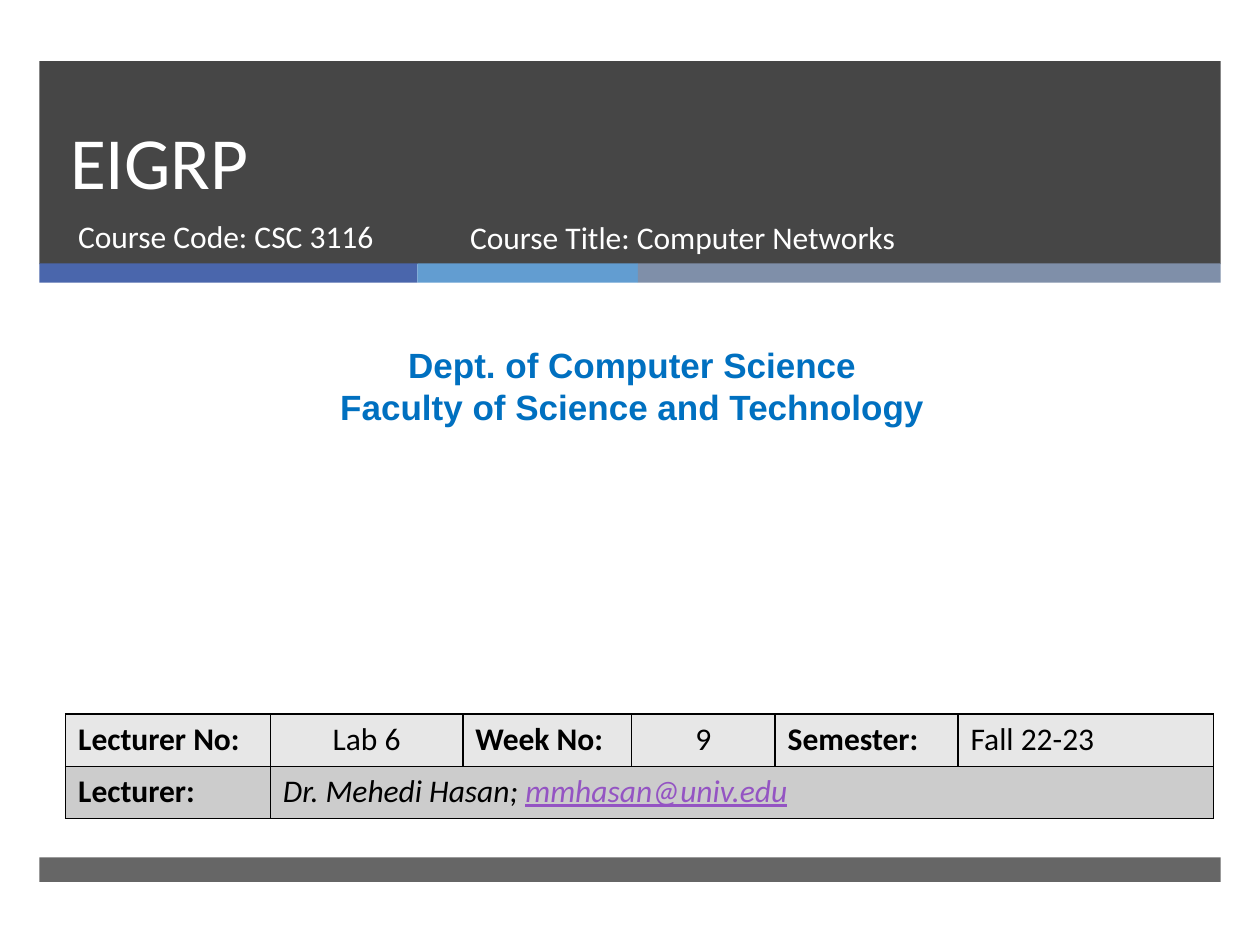
from lxml.etree import SubElement
from pptx import Presentation
from pptx.dml.color import RGBColor
from pptx.enum.shapes import MSO_SHAPE
from pptx.enum.text import MSO_ANCHOR, PP_ALIGN
from pptx.oxml.ns import qn
from pptx.util import Pt

COLORS = {
    "dark": "262626", "blue": "4A66AC", "sky": "629DD1", "slate": "7F8FA9",
    "white": "FFFFFF", "black": "000000", "department": "0070C0",
    "link": "9454C3", "light_row": "E7E7E7", "dark_row": "CCCCCC",
}
BAND_LEFT, BAND_WIDTH = 22.5, 675


def color(name):
    return RGBColor.from_string(COLORS[name])


def add_bar(slide, left, top, width, height, fill, opacity=None):
    bar = slide.shapes.add_shape(MSO_SHAPE.RECTANGLE, Pt(left), Pt(top), Pt(width), Pt(height))
    bar.shadow.inherit = False
    bar.line.fill.background()
    bar.fill.solid()
    bar.fill.fore_color.rgb = color(fill)
    if opacity:
        fill_color = bar._element.spPr.find(qn("a:solidFill"))[0]
        SubElement(fill_color, qn("a:alpha"), val=str(opacity * 1000))


def add_run(paragraph, text, font_color, **formats):
    run = paragraph.add_run()
    run.text = text
    run.font.color.rgb = color(font_color)
    for name, value in {"name": "Calibri", "size": Pt(18), **formats}.items():
        setattr(run.font, name, value)


def add_text(slide, left, top, width, height, lines, font_color,
             anchor=MSO_ANCHOR.TOP, align=PP_ALIGN.LEFT, spacing=None, **formats):
    box = slide.shapes.add_textbox(Pt(left), Pt(top), Pt(width), Pt(height))
    frame = box.text_frame
    frame.word_wrap = True
    frame.vertical_anchor = anchor
    for index, line in enumerate(lines):
        paragraph = frame.add_paragraph() if index else frame.paragraphs[0]
        paragraph.alignment = align
        paragraph.line_spacing = spacing
        add_run(paragraph, line, font_color, **formats)


def add_header(slide, left, top, width, height):
    """Dark title band with a three-coloured strip below it."""
    add_bar(slide, left, top, width, height, "dark", opacity=85)
    strip_left = left
    for strip_width, fill in ((216, "blue"), (126, "sky"), (width - 342, "slate")):
        add_bar(slide, strip_left, top + height - 0.5, strip_width, 11, fill)
        strip_left += strip_width
    add_text(slide, left + 10.5, top, 615, 85.5, ["EIGRP"], "white",
             anchor=MSO_ANCHOR.BOTTOM, spacing=Pt(46), size=Pt(42))
    add_text(slide, left + 15, top + 85.5, 220, 38, ["Course Code: CSC 3116"], "white")
    add_text(slide, left + 239, top + 86, 328, 38, ["Course Title: Computer Networks"], "white")


def style_cell(cell, fill):
    cell.fill.solid()
    cell.fill.fore_color.rgb = color(fill)
    properties = cell._tc.get_or_add_tcPr()
    for position, side in enumerate(("lnL", "lnR", "lnT", "lnB")):
        border = properties.makeelement(qn(f"a:{side}"), {"w": str(Pt(1))})
        solid = SubElement(border, qn("a:solidFill"))
        SubElement(solid, qn("a:srgbClr"), val=COLORS["black"])
        properties.insert(position, border)


def add_lecture_table(slide, left, top):
    widths = [117, 110, 96.5, 82, 104.5, 146]
    row_height = 29.9
    table = slide.shapes.add_table(2, len(widths), Pt(left), Pt(top),
                                   Pt(sum(widths)), Pt(2 * row_height)).table
    for column, width in zip(table.columns, widths):
        column.width = Pt(width)
    for row, fill in zip(table.rows, ("light_row", "dark_row")):
        row.height = Pt(row_height)
        for cell in row.cells:
            style_cell(cell, fill)

    entries = ["Lecturer No:", "Lab 6", "Week No:", "9", "Semester:", "Fall 22-23"]
    for index, entry in enumerate(entries):
        paragraph = table.cell(0, index).text_frame.paragraphs[0]
        paragraph.alignment = PP_ALIGN.CENTER if index in (1, 3) else PP_ALIGN.LEFT
        add_run(paragraph, entry, "black", bold=index % 2 == 0)

    add_run(table.cell(1, 0).text_frame.paragraphs[0], "Lecturer:", "black", bold=True)
    lecturer = table.cell(1, 1)
    lecturer.merge(table.cell(1, len(widths) - 1))
    paragraph = lecturer.text_frame.paragraphs[0]
    add_run(paragraph, "Dr. Mehedi Hasan; ", "black", bold=False, italic=True)
    add_run(paragraph, "mmhasan@univ.edu", "link", bold=False, italic=True, underline=True)


def main():
    presentation = Presentation()
    presentation.slide_width, presentation.slide_height = Pt(720), Pt(540)
    slide = presentation.slides.add_slide(presentation.slide_layouts[6])
    add_header(slide, BAND_LEFT, 35, BAND_WIDTH, 116)
    add_bar(slide, BAND_LEFT, 490, BAND_WIDTH, 14, "dark", opacity=70)
    add_text(slide, 6, 193, 710.5, 55.5,
             ["Dept. of Computer Science", "Faculty of Science and Technology"],
             "department", align=PP_ALIGN.CENTER, name="Arial", size=Pt(20), bold=True)
    add_lecture_table(slide, 37.5, 408)
    presentation.save("out.pptx")


if __name__ == "__main__":
    main()
